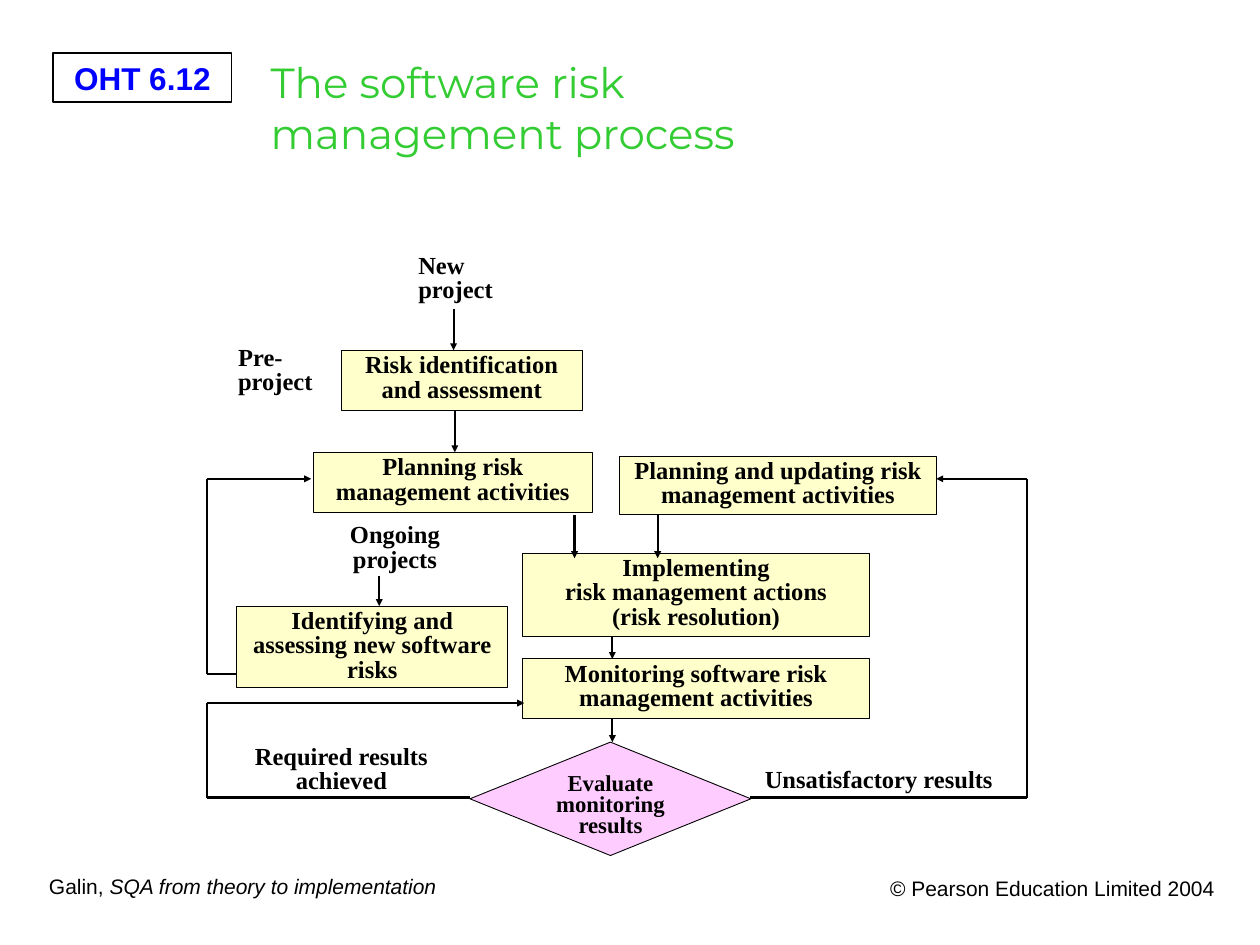
import pptx
import pptx.dml.color
import pptx.enum.shapes
import pptx.enum.text
import pptx.oxml
import pptx.oxml.ns
import pptx.util
from pptx.util import Inches

COLORS = {"ink": "000000", "step": "FFFFCC", "decision": "FFCCFF",
          "title": "33CC33", "badge": "0000FF"}
LEFT = pptx.enum.text.PP_ALIGN.LEFT
CENTER = pptx.enum.text.PP_ALIGN.CENTER
RIGHT = pptx.enum.text.PP_ALIGN.RIGHT
RECT = pptx.enum.shapes.MSO_SHAPE.RECTANGLE
DIAMOND = pptx.enum.shapes.MSO_SHAPE.DIAMOND
STRAIGHT = pptx.enum.shapes.MSO_CONNECTOR.STRAIGHT


def rgb(name):
    return pptx.dml.color.RGBColor.from_string(COLORS[name])


class FlowSlide:
    diagram_font = "Times New Roman"
    page_font = "Arial"
    arrow_weight = pptx.util.Pt(1.25)

    def __init__(self, slide):
        self.shapes = slide.shapes

    def add_lines(self, shape, lines, size, font, color="ink", bold=False,
                  align=LEFT, pitch=None, insets=(0.1, 0.05), wrap=False):
        """Each line is a list of (text, italic) runs."""
        frame = shape.text_frame
        frame.word_wrap = wrap
        frame.vertical_anchor = pptx.enum.text.MSO_ANCHOR.TOP
        frame.margin_left = frame.margin_right = Inches(insets[0])
        frame.margin_top = frame.margin_bottom = Inches(insets[1])
        for index, runs in enumerate(lines):
            paragraph = frame.paragraphs[0] if index == 0 else frame.add_paragraph()
            paragraph.alignment = align
            if pitch:
                paragraph.line_spacing = pptx.util.Pt(pitch)
            for text, italic in runs:
                run = paragraph.add_run()
                run.text = text
                run.font.name = font
                run.font.size = pptx.util.Pt(size)
                run.font.bold = bold
                run.font.italic = italic
                run.font.color.rgb = rgb(color)

    def page_text(self, place, lines, **style):
        box = self.shapes.add_textbox(*map(Inches, place))
        self.add_lines(box, lines, **style)

    def frame(self, place, preset=RECT, fill=None, weight=0.5):
        shape = self.shapes.add_shape(preset, *map(Inches, place))
        shape.shadow.inherit = False
        if fill:
            shape.fill.solid()
            shape.fill.fore_color.rgb = rgb(fill)
        else:
            shape.fill.background()
        shape.line.color.rgb = rgb("ink")
        shape.line.width = pptx.util.Pt(weight)
        return shape

    def badge(self, place, text):
        self.add_lines(self.frame(place, weight=0.75), [[(text, False)]], 18,
                       self.page_font, "badge", True, CENTER)

    def node(self, place, text, preset=RECT, fill="step", size=14, pitch=14):
        self.add_lines(self.frame(place, preset, fill),
                       [[(line, False)] for line in text.split("\n")], size,
                       self.diagram_font, bold=True, align=CENTER, pitch=pitch,
                       insets=(0, 0.03))

    def label(self, place, text, align=LEFT):
        self.page_text(place, [[(line, False)] for line in text.split("\n")],
                       size=14, font=self.diagram_font, bold=True, align=align,
                       pitch=14, insets=(0, 0), wrap=True)

    def route(self, *points):
        """Straight segments through the points, with an arrowhead at the end."""
        for start, end in zip(points, points[1:]):
            segment = self.shapes.add_connector(STRAIGHT, *map(Inches, start + end))
            segment.line.color.rgb = rgb("ink")
            segment.line.width = self.arrow_weight
            properties = segment._element.spPr
            if end == points[-1]:
                head = pptx.oxml.parse_xml(
                    '<a:tailEnd %s type="triangle" w="sm" len="sm"/>'
                    % pptx.oxml.ns.nsdecls("a"))
                properties.find(pptx.oxml.ns.qn("a:ln")).append(head)
            properties.append(pptx.oxml.parse_xml(
                "<a:effectLst %s/>" % pptx.oxml.ns.nsdecls("a")))


def main():
    deck = pptx.Presentation()
    deck.slide_width, deck.slide_height = Inches(10), Inches(7.5)
    page = FlowSlide(deck.slides.add_slide(deck.slide_layouts[6]))

    # Page furniture and title
    page.badge((0.42, 0.42, 1.42, 0.39), "OHT 6.12")
    page.page_text((0.29, 6.88, 3.28, 0.3),
                   [[("Galin, ", False), ("SQA from theory to implementation", True)]],
                   size=12, font=page.page_font)
    page.page_text((6.64, 6.9, 3.1, 0.39),
                   [[("© Pearson Education Limited 2004", False)]],
                   size=12, font=page.page_font, align=RIGHT, wrap=True)
    page.page_text((2.05, 0.4, 5.87, 1.42),
                   [[("The software risk", False)], [("management process", False)]],
                   size=24, font="Montserrat", color="title")

    # Process steps
    for place, text in [
        ((2.71, 2.78, 1.91, 0.48), "Risk identification\nand assessment"),
        ((2.49, 3.59, 2.21, 0.48), "Planning risk\nmanagement activities"),
        ((4.92, 3.62, 2.51, 0.46), "Planning and updating risk\nmanagement activities"),
        ((4.15, 4.39, 2.75, 0.66),
         "Implementing\nrisk management actions\n(risk resolution)"),
        ((4.15, 5.23, 2.75, 0.47), "Monitoring software risk\nmanagement activities"),
        ((1.88, 4.81, 2.15, 0.65), "Identifying and\nassessing new software\nrisks"),
    ]:
        page.node(place, text)
    page.node((3.73, 5.89, 2.23, 0.9), "Evaluate\nmonitoring\nresults",
              DIAMOND, "decision", 13, 12.25)

    # Entry points and outcomes
    page.label((3.32, 2.02, 0.8, 0.4), "New\nproject")
    page.label((1.89, 2.75, 0.8, 0.4), "Pre-\nproject")
    page.label((2.62, 4.16, 1.03, 0.4), "Ongoing\nprojects", CENTER)
    page.label((1.64, 5.92, 2.14, 0.4), "Required results\nachieved", CENTER)
    page.label((6.07, 6.1, 2, 0.2), "Unsatisfactory results")

    # Downward flow
    for x, top, bottom in [(3.6, 2.45, 2.78), (3.61, 3.26, 3.59), (4.56, 4.09, 4.43),
                           (5.22, 4.09, 4.43), (3.01, 4.57, 4.81), (4.86, 5.05, 5.23),
                           (4.86, 5.71, 5.89)]:
        page.route((x, top), (x, bottom))

    # Feedback loops
    page.route((1.88, 5.35), (1.64, 5.35), (1.64, 3.8), (2.47, 3.8))
    page.route((3.73, 6.33), (1.64, 6.33), (1.64, 5.58), (4.16, 5.58))
    page.route((5.95, 6.33), (8.15, 6.33), (8.15, 3.8), (7.43, 3.8))

    deck.save("out.pptx")


if __name__ == "__main__":
    main()
